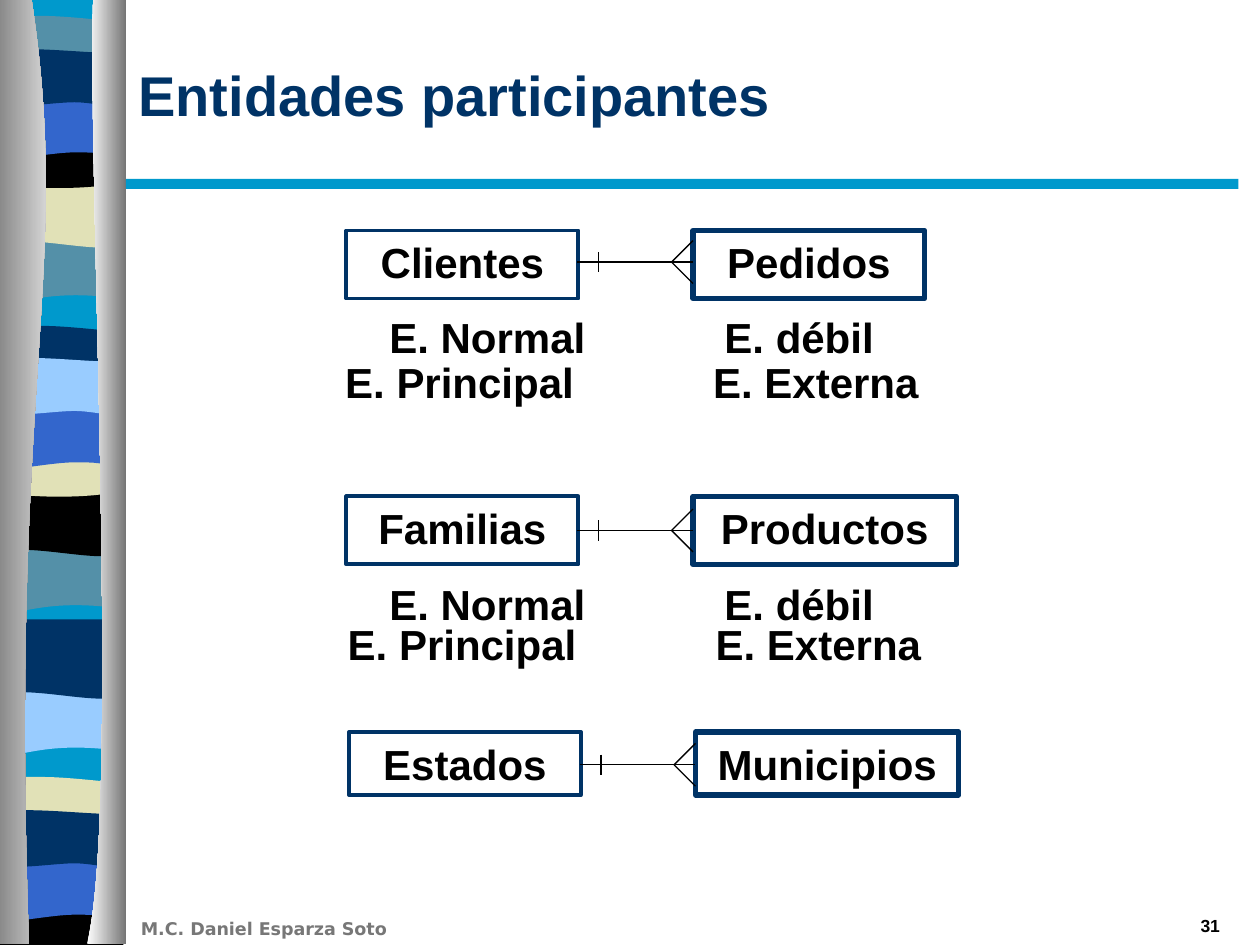
from pptx import Presentation
from pptx.dml.color import RGBColor
from pptx.enum.shapes import MSO_CONNECTOR as CONN, MSO_SHAPE as SHAPE
from pptx.enum.text import MSO_ANCHOR as ANCHOR, PP_ALIGN as ALIGN
from pptx.oxml.ns import qn
from lxml.etree import SubElement

PX = 9144
NAVY, SKY, SLATE, CREAM = "003366", "0099CC", "5490A8", "E1E1B7"
BLUE, PALE, BLACK, GRAY, WHITE = "3366CC", "99CCFF", "000000", "767676", "FFFFFF"
SWELLING = 1.27

BANDS = {
    "wave": [(98, 0), (98, 47), (27, 39, 13, 55, -5, 47), (-5, 0)],
    "swell": [(98, 0), (98, 47), (81, 55, 27, 41, -4, 47), (-4, 0)],
    "crest": [(98, 5), (98, 29), (81, 34, 13, 34, -5, 29), (-5, 5),
              (2, 0, 18, 1, 35, 1), (52, 1, 85, 4, 98, 5)],
    "bowl": [(98, 0), (98, 32), (81, 38, 13, 38, -4, 32), (-4, 0),
             (59, 5, 77, 0, 98, 0)],
    "arch": [(98, 0), (98, 47), (82, 42, 76, 42, 59, 42),
             (42, 42, 11, 47, -5, 47), (-5, 0)],
    "ripple": [(98, 5), (98, 36), (92, 41, 76, 36, 59, 36),
               (42, 36, 6, 41, -5, 36), (-5, 5),
               (10, 0, 65, 5, 82, 5), (99, 5, 95, 5, 98, 5)],
    "base": [(98, 0), (98, 37), (-5, 37), (-5, 0), (58, 5, 77, 0, 98, 0)],
}
BACKDROP = [(98, 0), (98, 747), (-5, 747), (-5, 0)]
STACK = [
    ("wave", 185, SLATE), ("swell", 141, CREAM), ("crest", 16, SLATE),
    ("bowl", 108, BLACK), ("arch", 74, BLUE), ("ripple", 41, NAVY),
    ("wave", 431, SLATE), ("swell", 386, BLACK), ("crest", 262, NAVY),
    ("bowl", 353, CREAM), ("arch", 320, BLUE), ("ripple", 286, PALE),
    ("wave", 544, PALE), ("swell", 499, NAVY), ("crest", 620, CREAM),
    ("base", 712, BLACK), ("arch", 679, BLUE), ("ripple", 645, NAVY),
]
PILLARS = [
    ([(25, -1), (58, 216, 7, 296, 23, 749), (-10, 749), (-10, -1)], (GRAY, WHITE)),
    ([(74, -1), (69, 125, 96, 646, 69, 749), (100, 749), (100, -1)], (WHITE, GRAY)),
]
RELATIONS = [
    (275, 183, 54, 208, "Clientes", "Pedidos", 184),
    (275, 394, 54, 421, "Familias", "Productos", 209),
    (277, 581, 50, 607, "Estados", "Municipios", 209),
]
CAPTIONS = [
    (256, 242, 53, 266, "E. Normal\tE. débil"),
    (256, 278, 18, 292, "E. Principal\tE. Externa"),
    (256, 454, 53, 266, "E. Normal\tE. débil"),
    (258, 486, 18, 292, "E. Principal\tE. Externa"),
]
LABELS = [
    (102, 724, 283, 27, "M.C. Daniel Esparza Soto", 10, "777777", "DejaVu Sans", ALIGN.LEFT, ANCHOR.TOP),
    (770, 721, 208, 26, "31", 10, BLACK, "Arial", ALIGN.RIGHT, ANCHOR.TOP),
    (100, 12, 878, 125, "Entidades participantes", 32, NAVY, "Arial", ALIGN.LEFT, ANCHOR.MIDDLE),
]

prs = Presentation()
prs.slide_width, prs.slide_height = 1000 * PX, 750 * PX
s = prs.slides.add_slide(prs.slide_layouts[6])


def rgb(color):
    return RGBColor.from_string(color)


def paint(sp, color):
    sp.fill.solid()
    sp.fill.fore_color.rgb = rgb(color)


def freeform(steps, top=0, stretch=1):
    xs = [x for step in steps for x in step[::2]]
    ys = [y for step in steps for y in step[1::2]]
    left, upper = min(xs), min(ys)
    w, h = max(xs) - left, max(ys) - upper
    fb = s.shapes.build_freeform(0, 0)
    fb.add_line_segments([(w * PX, 0), (w * PX, h * PX)], close=True)
    sp = fb.convert_to_shape(left * PX, (top + upper) * PX)
    path = sp._element.spPr.find(".//" + qn("a:path"))
    for node in list(path):
        path.remove(node)
    for i, step in enumerate(steps):
        tag = "a:moveTo" if i == 0 else "a:lnTo" if len(step) == 2 else "a:cubicBezTo"
        node = SubElement(path, qn(tag))
        for x, y in zip(step[::2], step[1::2]):
            y = h / 2 + (y - upper - h / 2) * stretch
            SubElement(node, qn("a:pt"), x=str((x - left) * PX), y=str(round(y * PX)))
    SubElement(path, qn("a:close"))
    sp.shadow.inherit = False
    sp.line.fill.background()
    return sp


def rect(x, y, w, h):
    sp = s.shapes.add_shape(SHAPE.RECTANGLE, x * PX, y * PX, w * PX, h * PX)
    sp.shadow.inherit = False
    return sp


def write(sp, text, size, color, font="Arial", align=ALIGN.CENTER, anchor=ANCHOR.TOP, tab=None):
    tf = sp.text_frame
    tf.word_wrap = True
    tf.vertical_anchor = anchor
    tf.margin_top = 5 * PX
    tf.text = text
    p = tf.paragraphs[0]
    p.alignment = align
    if tab:
        tabs = SubElement(p._p.get_or_add_pPr(), qn("a:tabLst"))
        SubElement(tabs, qn("a:tab"), pos=str(tab * PX), algn="l")
    f = p.runs[0].font
    f.size, f.bold, f.name = size * 12700, True, font
    f.color.rgb = rgb(color)


def textbox(x, y, w, h):
    return s.shapes.add_textbox(x * PX, y * PX, w * PX, h * PX)


def wire(x1, y1, x2, y2):
    c = s.shapes.add_connector(CONN.STRAIGHT, x1 * PX, y1 * PX, x2 * PX, y2 * PX)
    c.line.color.rgb = rgb(BLACK)
    c.line.width = 9525
    SubElement(c._element.spPr, qn("a:effectLst"))


def entity(x, y, w, h, name, weight):
    sp = rect(x, y, w, h)
    sp.fill.background()
    sp.line.color.rgb = rgb(NAVY)
    sp.line.width = round(weight * 12700)
    write(sp, name, 24, BLACK)


paint(freeform(BACKDROP), SKY)
for kind, top, color in STACK:
    paint(freeform(BANDS[kind], top, SWELLING), color)

for steps, colors in PILLARS:
    sp = freeform(steps)
    sp.fill.gradient()
    sp.fill.gradient_angle = 0
    for stop, color in zip(sp.fill.gradient_stops, colors):
        stop.color.rgb = rgb(color)

bar = rect(100, 142, 883, 8)
paint(bar, SKY)
bar.line.fill.background()

for x, y, w, h, text, size, color, font, align, anchor in LABELS:
    write(textbox(x, y, w, h), text, size, color, font, align, anchor)

for x, y, h, mid, parent, child, child_w in RELATIONS:
    start, end = x + 183, x + 275
    entity(end, y, child_w, h, child, 3)
    entity(x, y, 184, h, parent, 2.25)
    wire(start, mid, end, mid)
    for dy in (-17, 17):
        wire(end - 17, mid, end, mid + dy)
    wire(start + 17, mid - 8, start + 17, mid + 8)

for x, y, inset, tab, text in CAPTIONS:
    sp = textbox(x, y, 492, 50)
    write(sp, text, 24, BLACK, align=ALIGN.LEFT, tab=tab)
    sp.text_frame.margin_left = inset * PX

prs.save("out.pptx")
